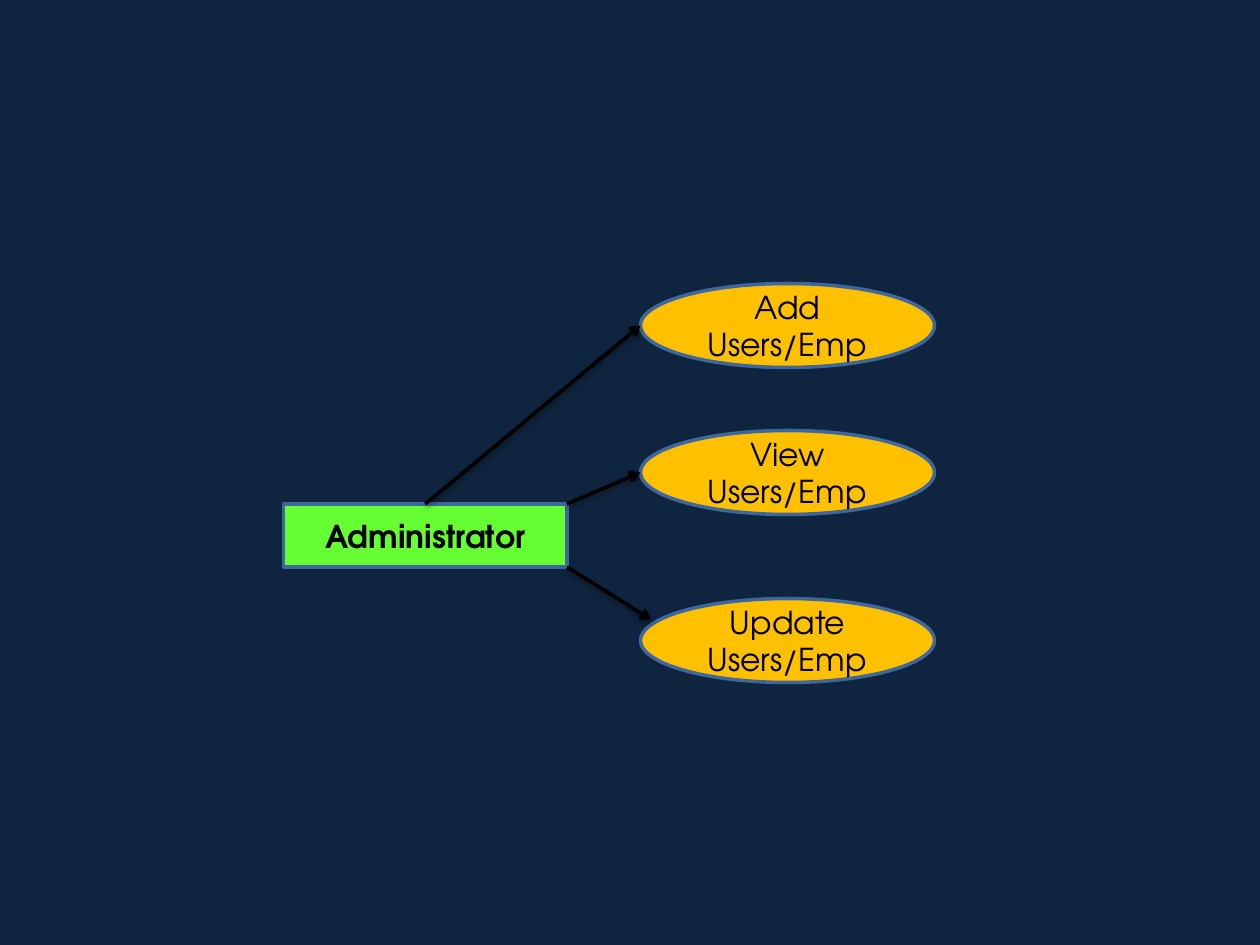
from lxml import etree
from pptx import Presentation
from pptx.dml.color import RGBColor
from pptx.enum import shapes, text
from pptx.oxml import ns, parse_xml
from pptx.util import Pt

ACTOR = "Administrator"
ACTOR_BOX = (162, 288, 162, 36)
USE_CASES = [("Add Users/Emp", 162), ("View Users/Emp", 246), ("Update Users/Emp", 342)]
CASE_LEFT, CASE_WIDTH, CASE_HEIGHT = 366, 168, 48
FONT = "TeX Gyre Adventor"
NAVY, GREEN, AMBER, BLUE, BLACK = "0F243E", "66FF33", "FFC000", "3E689D", "000000"
SHADOW = (
    f'<a:effectLst {ns.nsdecls("a")}>'
    f'<a:outerShdw blurRad="{Pt(3.1)}" dist="{Pt(1.6)}" dir="5400000" rotWithShape="0">'
    f'<a:srgbClr val="{BLACK}"><a:alpha val="38000"/></a:srgbClr>'
    "</a:outerShdw></a:effectLst>"
)


def paint(fill, color):
    fill.solid()
    fill.fore_color.rgb = RGBColor.from_string(color)


def add_node(slide, kind, box, label, color, bold=False):
    node = slide.shapes.add_shape(kind, *map(Pt, box))
    node.shadow.inherit = False
    paint(node.fill, color)
    paint(node.line.fill, BLUE)
    node.line.width = Pt(2)
    frame = node.text_frame
    frame.word_wrap = True
    frame.vertical_anchor = text.MSO_ANCHOR.MIDDLE
    frame.text = label
    paragraph = frame.paragraphs[0]
    paragraph.alignment = text.PP_ALIGN.CENTER
    font = paragraph.font
    font.name, font.size, font.bold = FONT, Pt(18), bold
    paint(font.fill, BLACK)
    return node


def add_arrow(slide, start, end):
    arrow = slide.shapes.add_connector(shapes.MSO_CONNECTOR.STRAIGHT, *map(Pt, start + end))
    paint(arrow.line.fill, BLACK)
    arrow.line.width = Pt(2)
    etree.SubElement(arrow.line._get_or_add_ln(), ns.qn("a:tailEnd"), type="arrow")
    arrow._element.spPr.append(parse_xml(SHADOW))
    return arrow


def main():
    """Build the administrator use case diagram."""
    deck = Presentation()
    deck.slide_width, deck.slide_height = Pt(720), Pt(540)
    slide = deck.slides.add_slide(deck.slide_layouts[6])
    paint(slide.background.fill, NAVY)

    actor = add_node(slide, shapes.MSO_SHAPE.RECTANGLE, ACTOR_BOX, ACTOR, GREEN, bold=True)
    for label, top in USE_CASES:
        box = (CASE_LEFT, top, CASE_WIDTH, CASE_HEIGHT)
        add_node(slide, shapes.MSO_SHAPE.OVAL, box, label, AMBER)

    left, top, width, height = ACTOR_BOX
    right, bottom = left + width, top + height
    add_end, view_end, update_end = [
        (CASE_LEFT, case_top + CASE_HEIGHT / 2) for _, case_top in USE_CASES
    ]
    add_link = add_arrow(slide, (left + width / 2, top), add_end)
    add_link.begin_connect(actor, 0)
    add_arrow(slide, (right, top), view_end)
    add_arrow(slide, (right, bottom), (update_end[0] + 6, update_end[1] - 12))

    deck.save("out.pptx")


if __name__ == "__main__":
    main()
